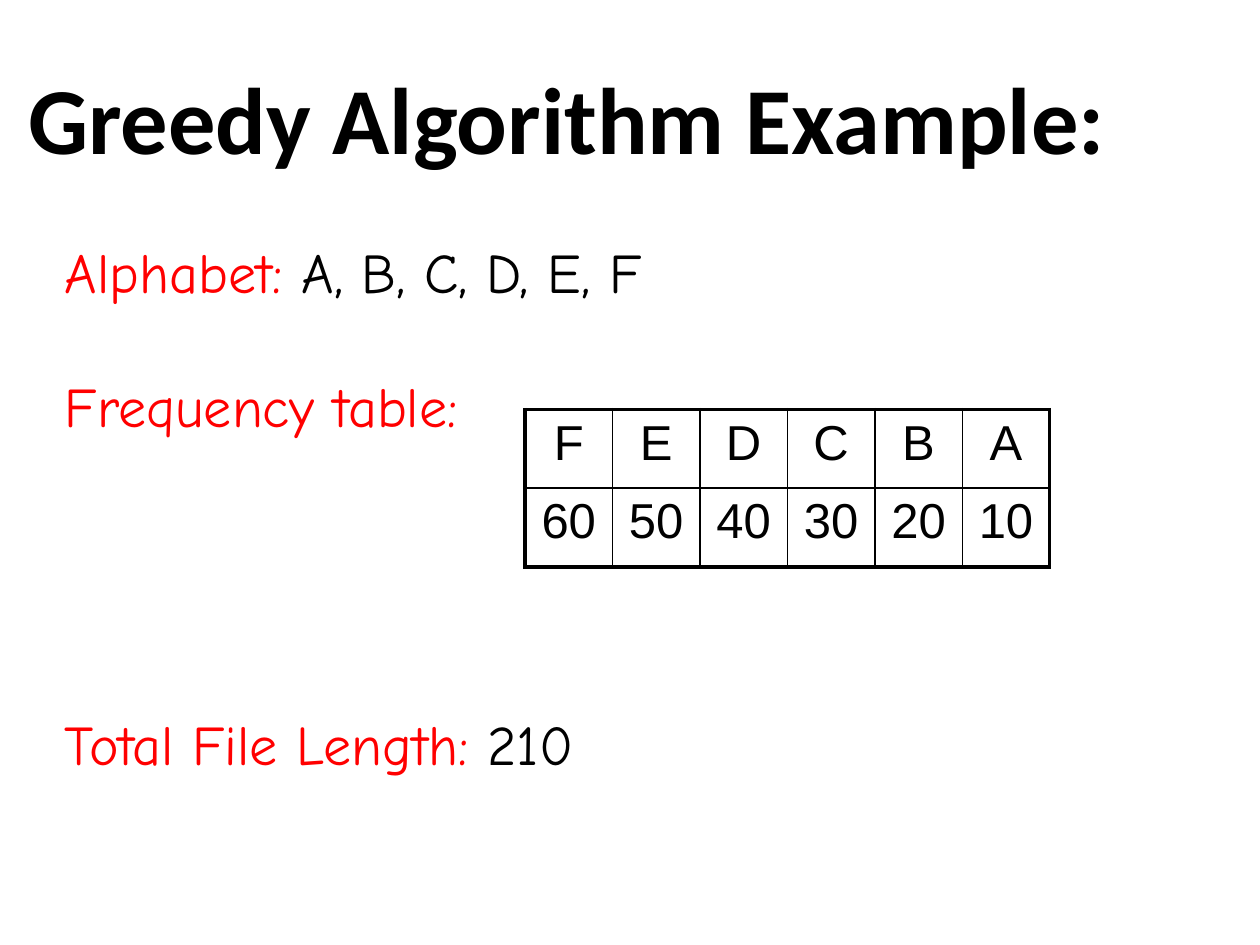
from lxml import etree
from pptx import Presentation
from pptx.dml.color import RGBColor
from pptx.enum.text import MSO_ANCHOR, PP_ALIGN
from pptx.oxml.ns import qn
from pptx.util import Pt

BLACK = RGBColor(0, 0, 0)
RED = RGBColor(255, 0, 0)
CENTER = PP_ALIGN.CENTER
MIDDLE = MSO_ANCHOR.MIDDLE
THIN, THICK = 0.96, 2.21
FREQS = [("F", 60), ("E", 50), ("D", 40), ("C", 30), ("B", 20), ("A", 10)]


def style(font, name, size, color=None):
    font.name = name
    font.size = Pt(size)
    if color is not None:
        font.color.rgb = color


def add_box(slide, left, top, width, height):
    box = slide.shapes.add_textbox(Pt(left), Pt(top), Pt(width), Pt(height))
    box.text_frame.word_wrap = True
    return box.text_frame


def add_title(slide, left, top, width, height, text):
    frame = add_box(slide, left, top, width, height)
    frame.vertical_anchor = MIDDLE
    para = frame.paragraphs[0]
    para.text = text
    para.alignment = CENTER
    style(para.font, "Calibri", 54, BLACK)
    para.font.bold = True


def add_facts(slide, left, top, width, height, facts, gap=0):
    frame = add_box(slide, left, top, width, height)
    for index, (label, value) in enumerate(facts):
        para = frame.add_paragraph() if index else frame.paragraphs[0]
        para.space_before = Pt(gap if index else 0)
        style(para.font, "Comic Neue", 32)
        for text, color in ((label, RED), (value, BLACK)):
            if text:
                run = para.add_run()
                run.text = text
                run.font.color.rgb = color


def add_border(cell, side, width):
    props = cell._tc.get_or_add_tcPr()
    line = etree.SubElement(props, qn(f"a:{side}"), w=str(Pt(width)))
    fill = etree.SubElement(line, qn("a:solidFill"))
    etree.SubElement(fill, qn("a:srgbClr"), val=str(BLACK))


def add_freqs(slide, left, top, width, height, pairs):
    rows = list(zip(*pairs))
    count = len(pairs)
    table = slide.shapes.add_table(
        len(rows), count, Pt(left), Pt(top), Pt(width), Pt(height)).table
    table.first_row = table.horz_banding = False
    for col in table.columns:
        col.width = Pt(width / count)
    for r, row in enumerate(rows):
        for c, value in enumerate(row):
            cell = table.cell(r, c)
            edges = {"lnL": c == 0, "lnR": c == count - 1,
                     "lnT": r == 0, "lnB": r == len(rows) - 1}
            for side, outer in edges.items():
                add_border(cell, side, THICK if outer else THIN)
            cell.fill.background()
            para = cell.text_frame.paragraphs[0]
            para.text = str(value)
            para.alignment = CENTER
            para.space_before = Pt(5.6)
            style(para.font, "Arial", 28, BLACK)


def main():
    deck = Presentation()
    deck.slide_width, deck.slide_height = Pt(720), Pt(540)
    slide = deck.slides.add_slide(deck.slide_layouts[6])
    add_title(slide, 0, 21.6, 648, 90, "Greedy Algorithm Example:")
    add_freqs(slide, 300, 234, 300, 90, FREQS)
    add_facts(slide, 30, 132, 666, 122.4,
              [("Alphabet:", " A, B, C, D, E, F"), ("Frequency table:", "")],
              gap=38.4)
    add_facts(slide, 30, 402, 666, 45.4, [("Total File Length:", " 210")])
    deck.save("out.pptx")


if __name__ == "__main__":
    main()
